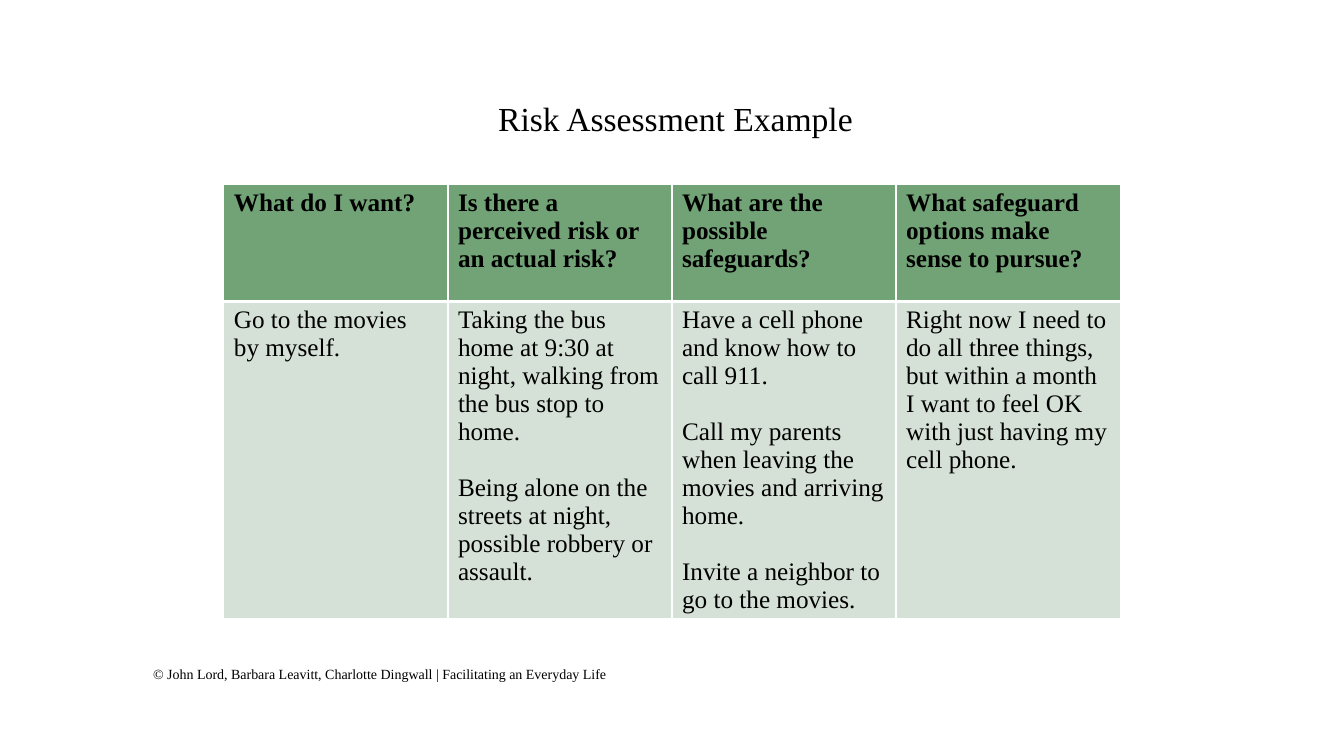
import pptx
import pptx.util
import pptx.dml.color
import pptx.enum.text
import pptx.oxml
import pptx.oxml.ns

Inches = pptx.util.Inches
Pt = pptx.util.Pt
ALIGN = pptx.enum.text.PP_ALIGN
ANCHOR = pptx.enum.text.MSO_ANCHOR

COLORS = {"head": "72A376", "body": "D5E0D6", "rule": "FFFFFF", "text": "000000"}
FACE = "Times New Roman"

HEADS = [
    "What do I want?",
    "Is there a perceived risk or an actual risk?",
    "What are the possible safeguards?",
    "What safeguard options make sense to pursue?",
]
PLANS = [
    ["Go to the movies by myself."],
    ["Taking the bus home at 9:30 at night, walking from the bus stop to home.",
     "Being alone on the streets at night, possible robbery or assault."],
    ["Have a cell phone and know how to call 911.",
     "Call my parents when leaving the movies and arriving home.",
     "Invite a neighbor to go to the movies."],
    ["Right now I need to do all three things, but within a month "
     "I want to feel OK with just having my cell phone."],
]


def color(name):
    return pptx.dml.color.RGBColor.from_string(COLORS[name])


def write(frame, lines, size, bold=False, align=ALIGN.LEFT, gap=0):
    """Fill a text frame, one paragraph per line, with a gap between them."""
    form = {"name": FACE, "size": Pt(size), "bold": bold}
    for i, line in enumerate(lines):
        para = frame.paragraphs[0] if i == 0 else frame.add_paragraph()
        para.alignment = align
        if i and gap:
            para.space_before = Pt(gap)
        run = para.add_run()
        run.text = line
        for key, value in form.items():
            setattr(run.font, key, value)
        run.font.color.rgb = color("text")


def label(slide, box, text, size, align, anchor):
    """Add a one-line text box."""
    frame = slide.shapes.add_textbox(*map(Inches, box)).text_frame
    frame.word_wrap = True
    frame.vertical_anchor = anchor
    write(frame, [text], size, align=align)


def border(cell, base):
    """Draw the rules round a cell, with the given weight at its base."""
    props = cell._tc.get_or_add_tcPr()
    for side, width in {"L": 1, "R": 1, "T": 1, "B": base}.items():
        props.append(pptx.oxml.parse_xml(
            f'<a:ln{side} {pptx.oxml.ns.nsdecls("a")} w="{Pt(width)}">'
            f'<a:solidFill><a:srgbClr val="{COLORS["rule"]}"/></a:solidFill>'
            f'</a:ln{side}>'))


def paint(cell, lines, fill, base, bold):
    """Style one table cell and write its text."""
    border(cell, base)
    cell.fill.solid()
    cell.fill.fore_color.rgb = color(fill)
    write(cell.text_frame, lines, 18, bold=bold, gap=20)


def grid(slide):
    """Add the table: a row of questions over a row of answers."""
    box = map(Inches, (2.22, 1.83, 8.89, 4.3))
    table = slide.shapes.add_table(2, len(HEADS), *box).table
    for row, height in zip(table.rows, (1.16, 3.14)):
        row.height = Inches(height)
    for col, (head, plan) in enumerate(zip(HEADS, PLANS)):
        paint(table.cell(0, col), [head], "head", 3, True)
        paint(table.cell(1, col), plan, "body", 1, False)


def main():
    deck = pptx.Presentation()
    deck.slide_width = Inches(13.33)
    deck.slide_height = Inches(7.5)
    slide = deck.slides.add_slide(deck.slide_layouts[6])

    # Table
    grid(slide)

    # Title and credit line
    label(slide, (2.61, 0.92, 8.18, 0.5), "Risk Assessment Example",
          24, ALIGN.CENTER, ANCHOR.TOP)
    label(slide, (1.42, 6.53, 7.99, 0.31),
          "© John Lord, Barbara Leavitt, Charlotte Dingwall | "
          "Facilitating an Everyday Life", 10, ALIGN.LEFT, ANCHOR.MIDDLE)

    deck.save("out.pptx")


if __name__ == "__main__":
    main()
